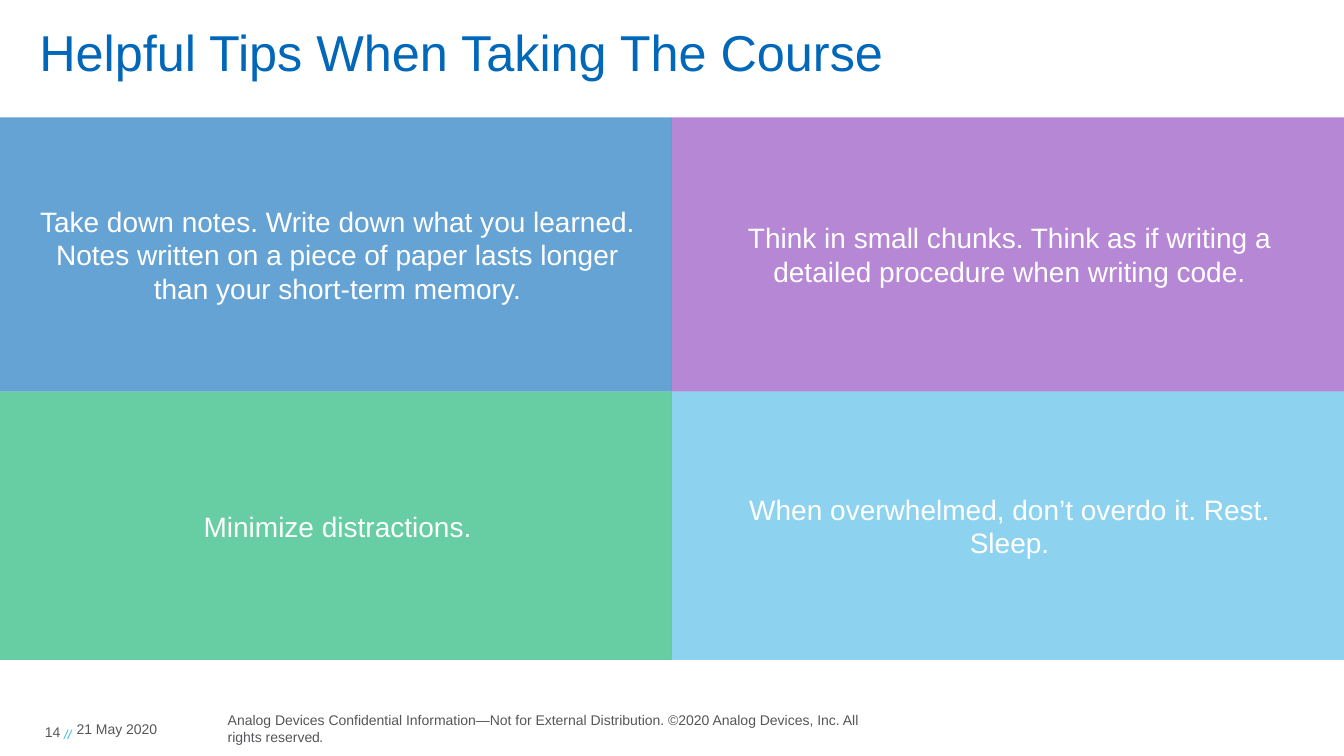
"""Build the course tips slide: a title, four coloured tiles and a footer."""
from dataclasses import dataclass

import pptx
import pptx.dml.color
import pptx.enum.shapes
import pptx.enum.text
import pptx.oxml
import pptx.oxml.ns
import pptx.util

Cm, Pt = pptx.util.Cm, pptx.util.Pt
RGB = pptx.dml.color.RGBColor.from_string
ALIGN = pptx.enum.text.PP_ALIGN
ANCHOR = pptx.enum.text.MSO_ANCHOR

TITLE = "Helpful Tips When Taking The Course"
TIPS = [
    [
        ("Take down notes. Write down what you learned. Notes written on a piece "
         "of paper lasts longer than your short-term memory.", "0067B9"),
        ("Think in small chunks. Think as if writing a detailed procedure when "
         "writing code.", "8637BA"),
    ],
    [
        ("Minimize distractions.", "00AE65"),
        ("When overwhelmed, don’t overdo it. Rest. Sleep.", "41B6E6"),
    ],
]
COPYRIGHT = ("Analog Devices Confidential Information—Not for External "
             "Distribution. ©2020 Analog Devices, Inc. All rights reserved")
PAGE_NUMBER = "14 "
DATE = "21 May 2020"


@dataclass(frozen=True)
class Theme:
    """Colours, font and type sizes of the slide."""
    font: str = "Arial"
    title: str = "0067B9"
    tip: str = "FFFFFF"
    footer: str = "555659"
    slashes: str = "3CB7E3"
    title_size: int = 36
    tip_size: int = 20
    footer_size: int = 10
    slashes_size: int = 16
    tile_opacity: int = 60


THEME = Theme()
SLIDE_W, SLIDE_H = 33.87, 19.05
GRID_TOP = 2.96
ROW_HEIGHTS = [6.91, 6.76]
FOOTER_TOP, FOOTER_H = 17.93, 0.86


def set_font(font, size, color):
    """Apply the theme font with a size and colour."""
    font.name, font.size = THEME.font, Pt(size)
    font.color.rgb = RGB(color)


def set_frame(tf, margins, anchor):
    """Set wrapping, left-top-right-bottom margins and the anchor."""
    tf.word_wrap = True
    tf.auto_size = pptx.enum.text.MSO_AUTO_SIZE.NONE
    tf.margin_left, tf.margin_top, tf.margin_right, tf.margin_bottom = map(Cm, margins)
    tf.vertical_anchor = anchor


def add_title(s):
    """Fill and place the title placeholder."""
    sp = s.shapes.title
    sp.left, sp.top, sp.width, sp.height = Cm(0.99), Cm(0), Cm(28.58), Cm(2.31)
    set_frame(sp.text_frame, (0, 0.51, 0, 0.25), ANCHOR.BOTTOM)
    p = sp.text_frame.paragraphs[0]
    p.text, p.alignment = TITLE, ALIGN.LEFT
    set_font(p.font, THEME.title_size, THEME.title)


def add_tile(s, box, text, color):
    """Add one translucent tile with a centred tip."""
    sp = s.shapes.add_shape(pptx.enum.shapes.MSO_SHAPE.RECTANGLE, *map(Cm, box))
    sp.shadow.inherit = False
    sp.line.fill.background()
    sp.fill.solid()
    sp.fill.fore_color.rgb = RGB(color)
    clr = sp.fill._xPr.find(".//" + pptx.oxml.ns.qn("a:srgbClr"))
    alpha = pptx.oxml.parse_xml(
        f'<a:alpha {pptx.oxml.ns.nsdecls("a")} val="{THEME.tile_opacity * 1000}"/>')
    clr.append(alpha)
    set_frame(sp.text_frame, (0.97, 0.25, 0.89, 0.25), ANCHOR.MIDDLE)
    p = sp.text_frame.paragraphs[0]
    p.text, p.alignment = text, ALIGN.CENTER
    set_font(p.font, THEME.tip_size, THEME.tip)


def add_footer(s, left, width, text, align=ALIGN.LEFT):
    """Add one footer text and return its paragraph."""
    sp = s.shapes.add_textbox(Cm(left), Cm(FOOTER_TOP), Cm(width), Cm(FOOTER_H))
    set_frame(sp.text_frame, (0, 0, 0, 0), ANCHOR.MIDDLE)
    p = sp.text_frame.paragraphs[0]
    p.alignment = align
    r = p.add_run()
    r.text = text
    set_font(r.font, THEME.footer_size, THEME.footer)
    return p


def add_italic(p, text, size, color):
    """Add an italic run and return it."""
    r = p.add_run()
    r.text = text
    set_font(r.font, size, color)
    r.font.italic = True
    return r


def main():
    """Build and save the slide."""
    prs = pptx.Presentation()
    prs.slide_width, prs.slide_height = Cm(SLIDE_W), Cm(SLIDE_H)
    s = prs.slides.add_slide(prs.slide_layouts.get_by_name("Title Only"))
    add_title(s)

    top = GRID_TOP
    for row, height in zip(TIPS, ROW_HEIGHTS):
        width = SLIDE_W / len(row)
        for col, (text, color) in enumerate(row):
            add_tile(s, (col * width, top, width, height), text, color)
        top += height

    p = add_footer(s, 5.74, 16.43, COPYRIGHT)
    add_italic(p, ".", THEME.footer_size, THEME.footer)
    p = add_footer(s, 0, 1.8, PAGE_NUMBER, ALIGN.RIGHT)
    r = add_italic(p, "//", THEME.slashes_size, THEME.slashes)
    r._r.get_or_add_rPr().set("baseline", "-11000")
    add_footer(s, 1.93, 2.97, DATE)

    prs.save("out.pptx")


if __name__ == "__main__":
    main()
